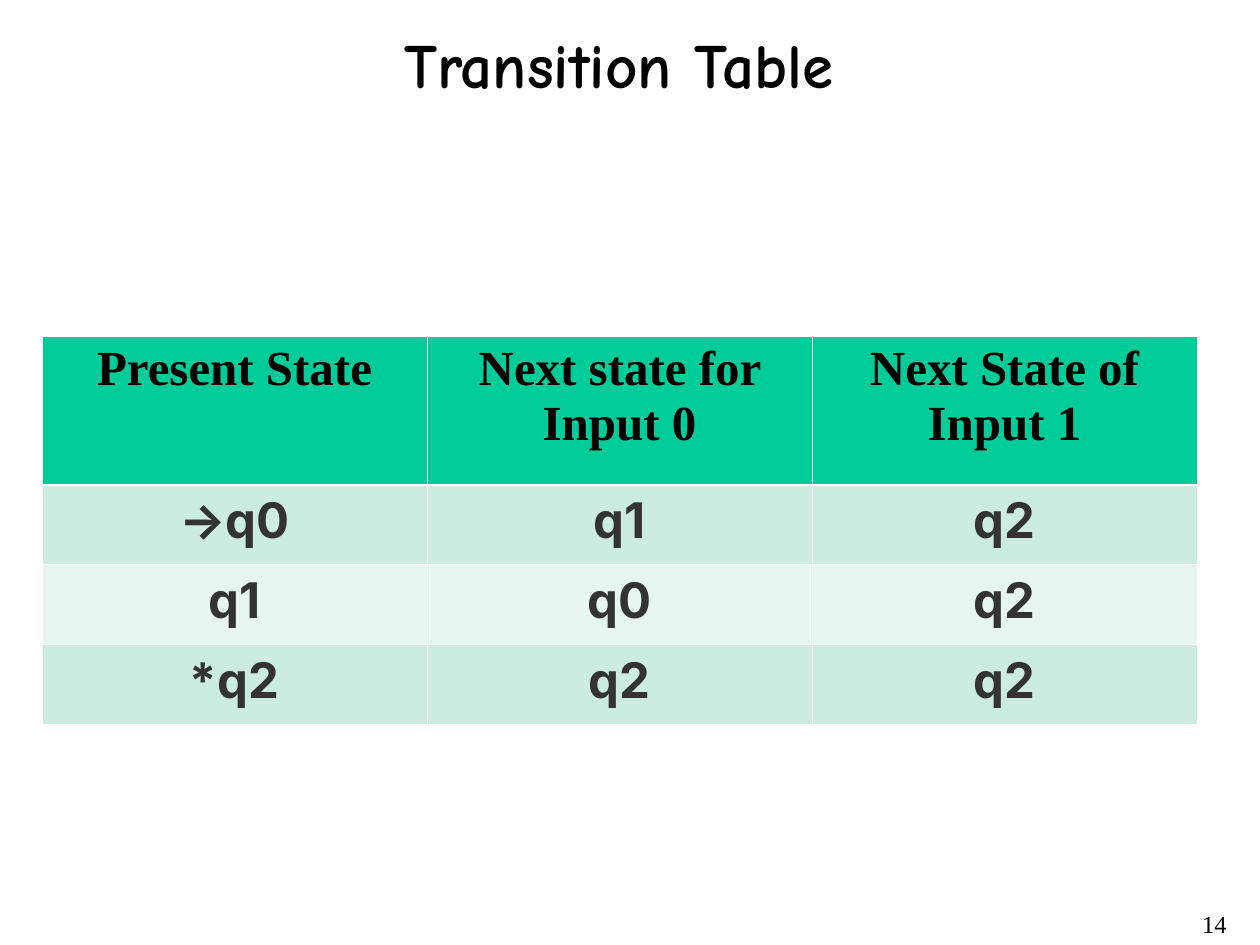
from lxml import etree
from pptx import Presentation
from pptx.dml.color import RGBColor
from pptx.enum.text import MSO_ANCHOR, PP_ALIGN
from pptx.oxml.ns import qn
from pptx.util import Pt

CENTER, RIGHT = PP_ALIGN.CENTER, PP_ALIGN.RIGHT
TOP, MIDDLE = MSO_ANCHOR.TOP, MSO_ANCHOR.MIDDLE

COLORS = {
    "text": "000000",
    "state": "333333",
    "header": "00CC99",
    "odd": "CBECDE",
    "even": "E7F6EF",
    "border": "FFFFFF",
}
SERIF, HAND, SANS = "Times New Roman", "Comic Neue", "Inter"

ROWS = [
    ["Present State", "Next state for Input 0", "Next State of Input 1"],
    ["→q0", "q1", "q2"],
    ["q1", "q0", "q2"],
    ["*q2", "q2", "q2"],
]


def write_text(tf, text, font=SERIF, size=28, color="text", bold=False, align=CENTER):
    p = tf.paragraphs[0]
    p.alignment = align
    r = p.add_run()
    r.text = text
    r.font.name = font
    r.font.size = Pt(size)
    r.font.bold = bold
    r.font.color.rgb = RGBColor.from_string(COLORS[color])


def add_label(slide, box, text, anchor=TOP, **fmt):
    sp = slide.shapes.add_textbox(*map(Pt, box))
    tf = sp.text_frame
    tf.word_wrap = True
    tf.vertical_anchor = anchor
    write_text(tf, text, **fmt)


def set_borders(cell, widths):
    tc_pr = cell._tc.get_or_add_tcPr()
    for i, (side, width) in enumerate(widths.items()):
        ln = etree.Element(qn(f"a:ln{side}"), w=str(Pt(width)))
        fill = etree.SubElement(ln, qn("a:solidFill"))
        etree.SubElement(fill, qn("a:srgbClr"), val=COLORS["border"])
        tc_pr.insert(i, ln)


def add_transition_table(slide, box, header_height):
    left, top, width, height = box
    n_rows, n_cols = len(ROWS), len(ROWS[0])
    table = slide.shapes.add_table(n_rows, n_cols, *map(Pt, box)).table
    for col in table.columns:
        col.width = Pt(width / n_cols)
    for i, values in enumerate(ROWS):
        header = i == 0
        body_height = (height - header_height) / (n_rows - 1)
        table.rows[i].height = Pt(header_height if header else body_height)
        fill = "header" if header else "odd" if i % 2 else "even"
        widths = {"L": 0.45, "R": 0.45,
                  "T": 1.47 if i == 1 else 0.45,
                  "B": 1.47 if header else 0.45}
        for j, text in enumerate(values):
            cell = table.cell(i, j)
            cell.margin_left = cell.margin_right = Pt(9 if header else 6)
            cell.margin_top = cell.margin_bottom = Pt(3.6)
            cell.fill.solid()
            cell.fill.fore_color.rgb = RGBColor.from_string(COLORS[fill])
            set_borders(cell, widths)
            write_text(cell.text_frame, text, bold=True,
                       font=SERIF if header else SANS,
                       color="text" if header else "state")


def main():
    prs = Presentation()
    prs.slide_width, prs.slide_height = Pt(720), Pt(540)
    slide = prs.slides.add_slide(prs.slide_layouts[6])
    add_label(slide, (12, 12, 696, 48), "Transition Table ",
              anchor=MIDDLE, font=HAND, size=36, bold=True)
    add_transition_table(slide, (24, 192, 660, 222), header_height=85)
    add_label(slide, (558, 516, 150, 24), "14", size=14, align=RIGHT)
    prs.save("out.pptx")


if __name__ == "__main__":
    main()
